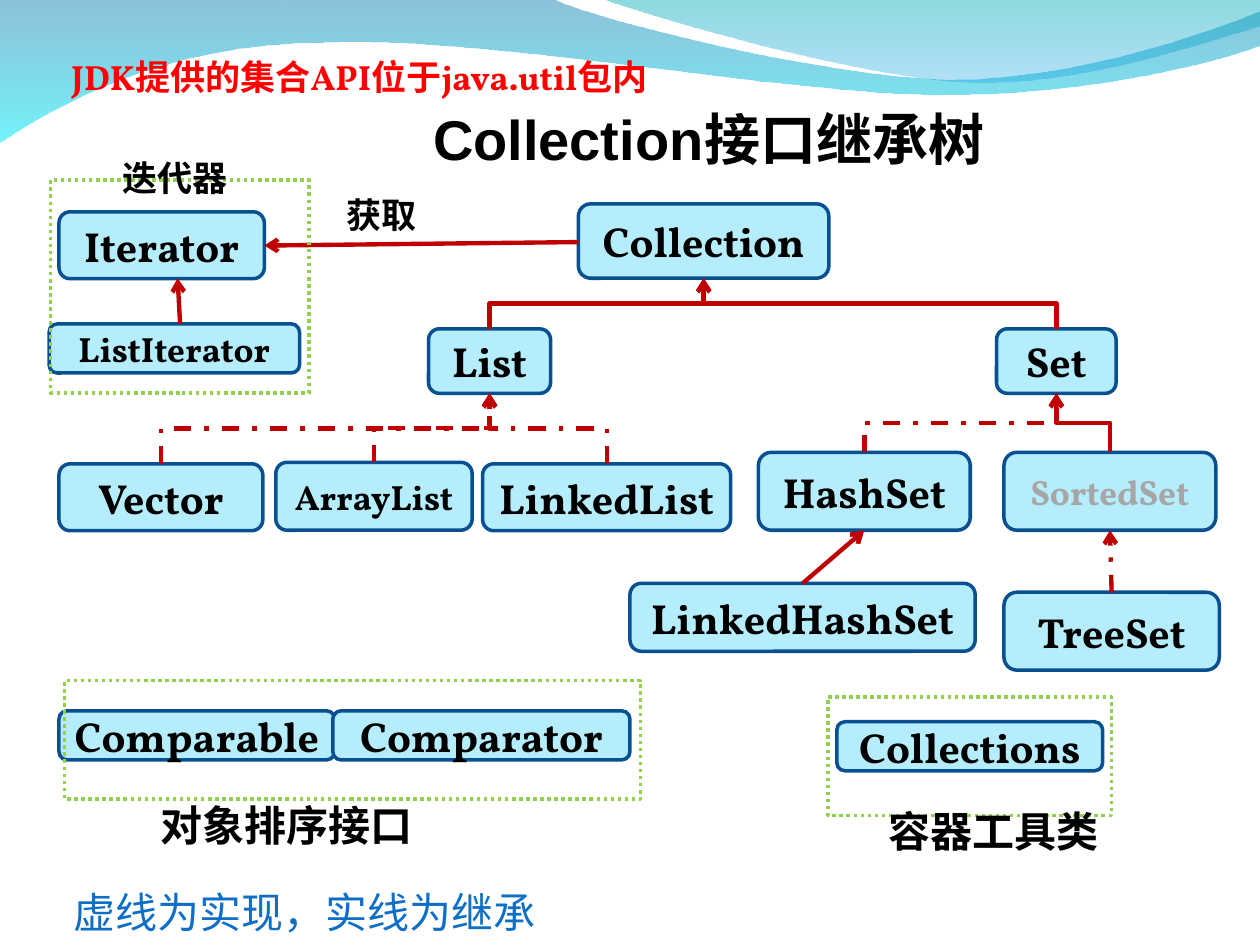
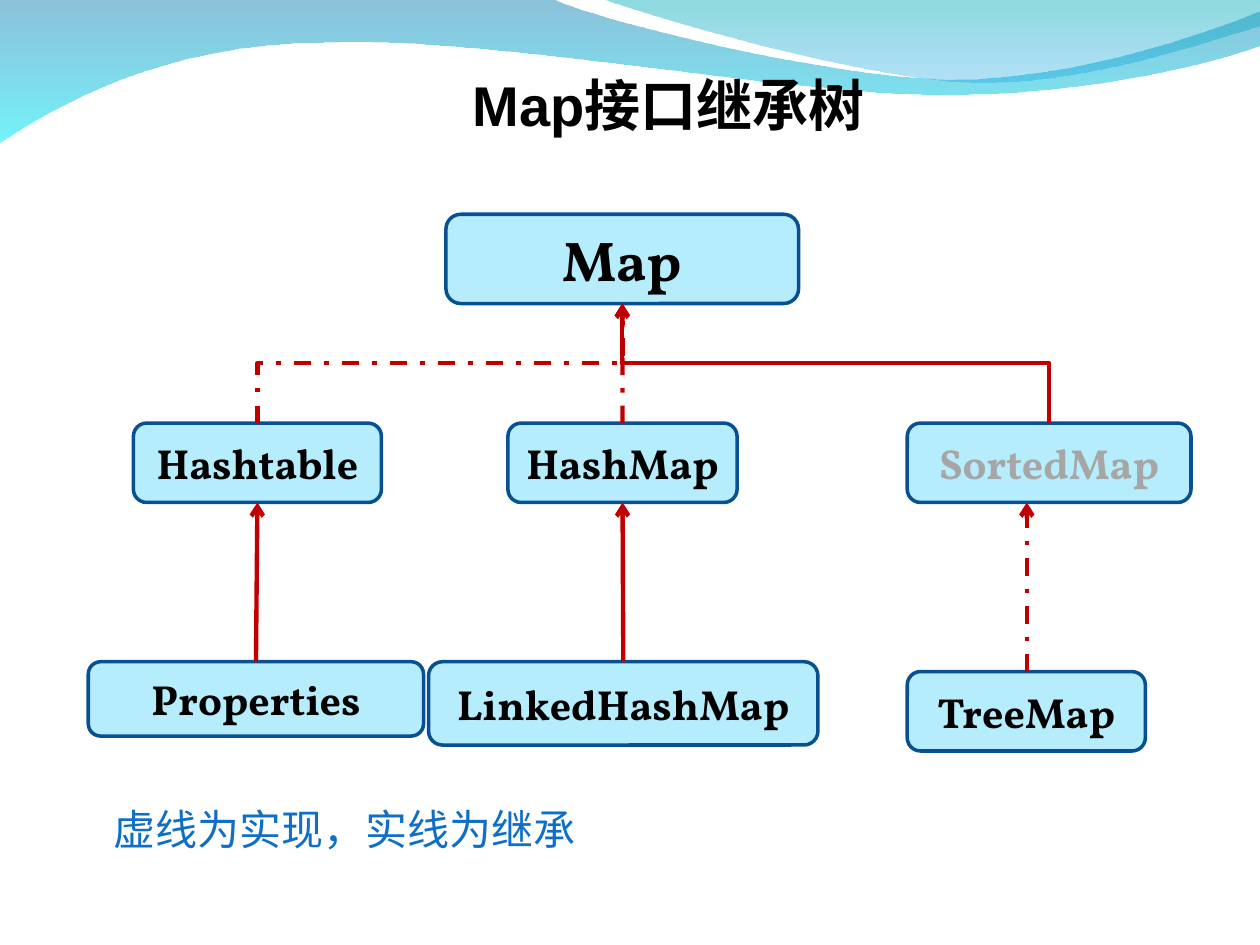
from lxml import etree
from pptx import Presentation
from pptx import util as u
from pptx.dml.color import RGBColor
from pptx.enum import dml, shapes, text
from pptx.oxml.ns import qn

HUES = {"box": "B5EDFD", "edge": "085091", "link": "C00000", "group": "92D050",
        "ink": "000000", "dim": "A6A6A6", "hint": "FF0000", "note": "0F6FC6"}
SERIF, SANS = "Vollkorn", "Arial"
LEFT, MID = text.PP_ALIGN.LEFT, text.PP_ALIGN.CENTER
GROW, FIXED = text.MSO_AUTO_SIZE.SHAPE_TO_FIT_TEXT, text.MSO_AUTO_SIZE.NONE


def put(shape, words, size, hue="ink", face=SANS, bold=True, align=LEFT,
        anchor=text.MSO_ANCHOR.TOP, wrap=True, fit=GROW):
    """Write one styled run into a shape."""
    frame = shape.text_frame
    frame.word_wrap = wrap
    frame.auto_size = fit
    frame.vertical_anchor = anchor
    para = frame.paragraphs[0]
    para.alignment = align
    run = para.add_run()
    run.text = words
    run.font.name, run.font.size, run.font.bold = face, u.Pt(size), bold
    run.font.color.rgb = RGBColor.from_string(HUES[hue])


def link(slide, x1, y1, x2, y2, dash, bent=False):
    """Draw an arrow; a bent one leaves and arrives vertically."""
    kind, turn = shapes.MSO_CONNECTOR.STRAIGHT, 0
    if bent:
        # An elbow runs sideways, so lay it out flat and turn it
        kind = shapes.MSO_CONNECTOR.ELBOW
        side = 1 if x2 > x1 else -1
        midx, midy = (x1 + x2) / 2, (y1 + y2) / 2
        dx, dy = abs(x2 - x1) / 2, side * (y1 - y2) / 2
        x1, y1, x2, y2 = midx + dy, midy + dx, midx - dy, midy - dx
        turn = 180 - 90 * side
    line = slide.shapes.add_connector(kind, *map(u.Cm, (x1, y1, x2, y2)))
    line.rotation = turn
    line.line.color.rgb = RGBColor.from_string(HUES["link"])
    line.line.width = u.Pt(2.5)
    if dash:
        line.line.dash_style = dml.MSO_LINE.DASH_DOT
    etree.SubElement(line.get_or_add_ln(), qn("a:tailEnd"), type="arrow")
    etree.SubElement(line.element.spPr, qn("a:effectLst"))


deck = Presentation()
deck.slide_width, deck.slide_height = u.Cm(25.4), u.Cm(19.05)
base = deck.slide_layouts[5]

# Title, note, boxes (left, top, width, height, size, hue), and
# tree links (child, parent, dashed, bent) with loose arrows, per slide
PAGES = [
    {"title": ("Collection接口继承树", 8.73, 1.68, 13),
     "note": (1.24, 17.75),
     "boxes": {
         "Collection": (11.66, 4.11, 5.05, 1.5, 24, "ink"),
         "List": (8.64, 6.63, 2.46, 1.3, 24, "ink"),
         "Set": (20.09, 6.63, 2.41, 1.3, 24, "ink"),
         "Vector": (1.19, 9.35, 4.11, 1.35, 24, "ink"),
         "ArrayList": (5.56, 9.32, 3.96, 1.37, 20, "ink"),
         "LinkedList": (9.73, 9.35, 5, 1.35, 24, "ink"),
         "HashSet": (15.29, 9.12, 4.27, 1.57, 24, "ink"),
         "SortedSet": (20.24, 9.12, 4.27, 1.57, 20, "dim"),
         "LinkedHashSet": (12.7, 11.76, 6.96, 1.37, 24, "ink"),
         "TreeSet": (20.24, 11.94, 4.34, 1.57, 24, "ink"),
         "Comparable": (1.19, 14.33, 5.56, 0.99, 24, "ink"),
         "Comparator": (6.71, 14.33, 5.99, 0.99, 24, "ink"),
         "Collections": (16.87, 14.55, 5.36, 0.99, 24, "ink"),
         "Iterator": (1.19, 4.27, 4.14, 1.35, 24, "ink"),
         "ListIterator": (0.99, 6.53, 5.05, 0.99, 20, "ink")},
     "tree": [("List", "Collection", False, True),
              ("Set", "Collection", False, True),
              ("Vector", "List", True, True),
              ("ArrayList", "List", True, True),
              ("LinkedList", "List", True, True),
              ("HashSet", "Set", True, True),
              ("SortedSet", "Set", False, True),
              ("LinkedHashSet", "HashSet", False, False),
              ("TreeSet", "SortedSet", True, False)],
     "loose": [(11.66, 4.88, 5.33, 4.95, False),
               (3.63, 6.53, 3.58, 5.61, False)]},
    {"title": ("Map接口继承树", 9.53, 0.99, 8.94),
     "note": (2.03, 16.08),
     "boxes": {
         "Map": (8.99, 4.32, 7.11, 1.8, 32, "ink"),
         "Hashtable": (2.69, 8.53, 5, 1.6, 24, "ink"),
         "HashMap": (10.24, 8.53, 4.62, 1.6, 24, "ink"),
         "SortedMap": (18.29, 8.53, 5.72, 1.6, 24, "dim"),
         "Properties": (1.78, 13.34, 6.76, 1.5, 24, "ink"),
         "LinkedHashMap": (8.64, 13.34, 7.85, 1.68, 24, "ink"),
         "TreeMap": (18.29, 13.54, 4.8, 1.6, 24, "ink")},
     "tree": [("Hashtable", "Map", True, True),
              ("SortedMap", "Map", False, True),
              ("HashMap", "Map", True, False),
              ("Properties", "Hashtable", False, False),
              ("LinkedHashMap", "HashMap", False, False)],
     "loose": [(20.7, 13.54, 20.7, 10.13, True)]},
]

for page in PAGES:
    slide = deck.slides.add_slide(base)
    page["slide"] = slide

    # Title
    words, x, y, w = page["title"]
    head = slide.shapes.title
    head.left, head.top, head.width, head.height = map(u.Cm, (x, y, w, 1.78))
    frame = head.text_frame
    frame.margin_left = frame.margin_right = frame.margin_bottom = 0
    put(head, words, 32, anchor=text.MSO_ANCHOR.BOTTOM, fit=FIXED)

    # Type boxes
    for name, (x, y, w, h, size, hue) in page["boxes"].items():
        box = slide.shapes.add_shape(shapes.MSO_SHAPE.ROUNDED_RECTANGLE,
                                     *map(u.Cm, (x, y, w, h)))
        box.shadow.inherit = False
        box.fill.solid()
        box.fill.fore_color.rgb = RGBColor.from_string(HUES["box"])
        box.line.color.rgb = RGBColor.from_string(HUES["edge"])
        box.line.width = u.Pt(2)
        put(box, name, size, hue, SERIF, align=MID,
            anchor=text.MSO_ANCHOR.MIDDLE, fit=FIXED)

    # Arrows from the top of each child to the foot of its parent
    for child, root, dash, bent in page["tree"]:
        x1, y1, w1 = page["boxes"][child][:3]
        x2, y2, w2, h2 = page["boxes"][root][:4]
        link(slide, x1 + w1 / 2, y1, x2 + w2 / 2, y2 + h2, dash, bent)
    for spot in page["loose"]:
        link(slide, *spot)

    # Line legend
    x, y = page["note"]
    note = slide.shapes.add_textbox(*map(u.Cm, (x, y, 9.82, 1.27)))
    put(note, "虚线为实现，实线为继承", 24, "note", bold=False, wrap=False)

# Dotted groups on the first slide
first = PAGES[0]["slide"]
for spot in [(1.02, 3.63, 5.21, 4.29), (1.3, 13.72, 11.61, 2.39),
             (16.69, 14.05, 5.72, 2.39)]:
    group = first.shapes.add_shape(shapes.MSO_SHAPE.RECTANGLE, *map(u.Cm, spot))
    group.shadow.inherit = False
    group.fill.background()
    group.line.color.rgb = RGBColor.from_string(HUES["group"])
    group.line.width = u.Pt(2)
    group.line.dash_style = dml.MSO_LINE.ROUND_DOT

# Labels on the first slide
for words, size, *spot in [("迭代器", 20, 2.22, 3.04, 3.1, 1.12),
                           ("对象排序接口", 24, 2.98, 16, 6.35, 1.27),
                           ("容器工具类", 24, 17.66, 16.12, 5.77, 1.27),
                           ("获取", 20, 6.73, 3.78, 2.08, 1.12)]:
    put(first.shapes.add_textbox(*map(u.Cm, spot)), words, size)
hint = first.shapes.add_textbox(*map(u.Cm, (1.19, 0.56, 12.17, 1.96)))
put(hint, "JDK提供的集合API位于java.util包内", 20, "hint", SERIF,
    anchor=text.MSO_ANCHOR.MIDDLE)

# Waves shared through the layout, in hundredths of a cm: pairs are
# corners, sixes are curves; then (colour, opacity) from top to bottom
WAVES = [
    ([(0, 0), (1118, 0), (1209, 43, 1687, 160, 1925, 160),
      (2167, 160, 2433, 66, 2540, 23), (2540, 91),
      (2497, 112, 2210, 193, 1895, 191),
      (1580, 191, 970, 71, 653, 86), (328, 89, 117, 211, 0, 287)],
     [("0079AF", 45), ("00EBF8", 55)]),
    ([(1217, 0), (1293, 28, 1732, 157, 1953, 165),
      (2174, 175, 2441, 81, 2540, 53), (2540, 0)],
     [("00ADB6", 45), ("009BE5", 30)]),
]
for rank, (parts, tones) in enumerate(WAVES):
    dots = [part[i:i + 2] for part in parts for i in range(0, len(part), 2)]
    pen = first.shapes.build_freeform(*dots[0], scale=u.Cm(0.01))
    pen.add_line_segments(dots[1:], close=True)
    wave = pen.convert_to_shape()

    # Merge each run of three segments into one curve
    legs = iter(list(wave.element.iter(qn("a:lnTo"))))
    for part in parts[1:]:
        leg = next(legs)
        if len(part) == 6:
            leg.tag = qn("a:cubicBezTo")
            for more in (next(legs), next(legs)):
                leg.append(more[0])
                more.getparent().remove(more)

    wave.shadow.inherit = False
    wave.line.fill.background()
    wave.fill.gradient()
    wave.fill.gradient_angle = 270
    for stop, (tone, _) in zip(wave.fill.gradient_stops, tones):
        stop.color.rgb = RGBColor.from_string(tone)
    for node, (_, clear) in zip(wave.element.spPr.iter(qn("a:srgbClr")), tones):
        etree.SubElement(node, qn("a:alpha"), val=str(clear * 1000))
    base.shapes.element.insert(2 + rank, wave.element)

deck.save("out.pptx")
